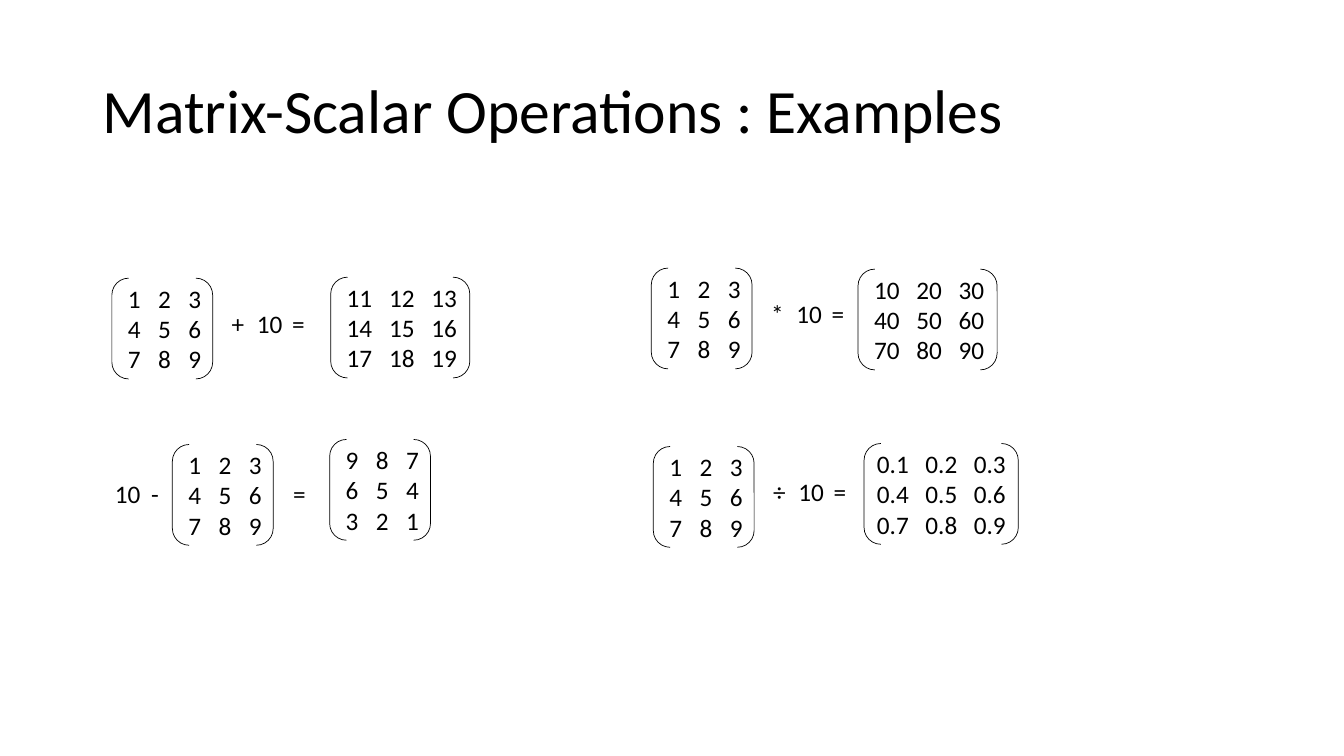
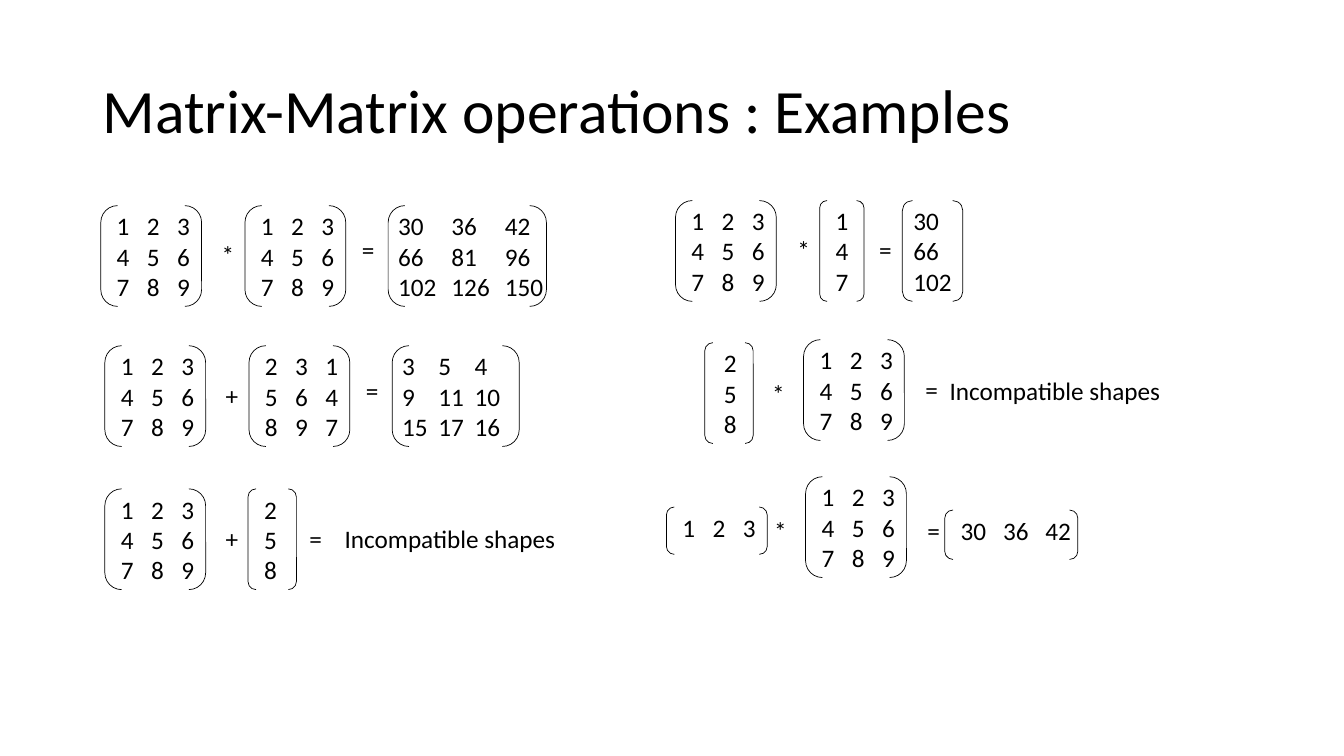
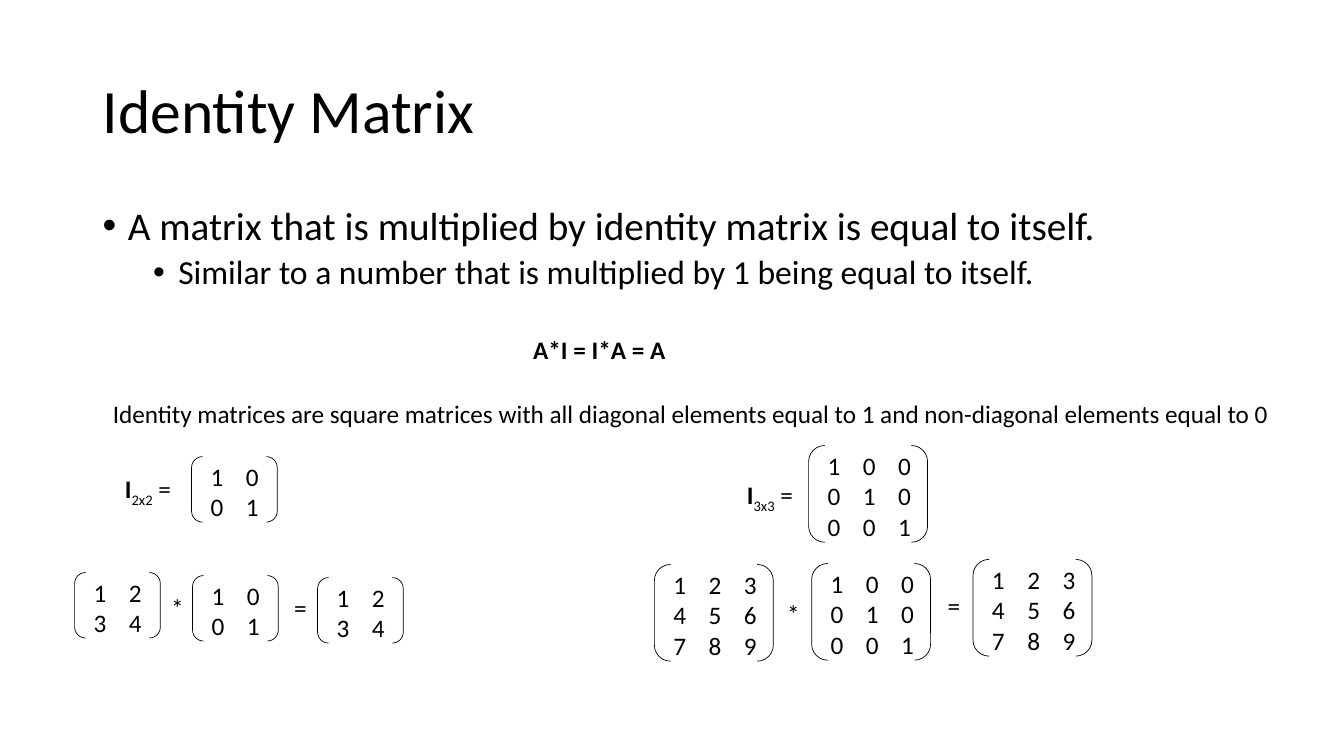
from lxml import etree
from pptx import Presentation
from pptx.dml.color import RGBColor
from pptx.enum import shapes, text
from pptx.oxml import ns
from pptx.util import Inches, Pt

BLACK = RGBColor(0x00, 0x00, 0x00)
WHITE = RGBColor(0xFF, 0xFF, 0xFF)
FONT = "Calibri"

# Matrices: rows separated by "/", entries by a space
COUNT = "1 2 3/4 5 6/7 8 9"
COLUMN = "2/5/8"
SMALL = "1 2/3 4"
IDENTITY_2 = "1 0/0 1"
IDENTITY_3 = "1 0 0/0 1 0/0 0 1"
SCALAR_TABS = (0.25, 0.6)


class Deck:
    def __init__(self):
        self.prs = Presentation()
        self.prs.slide_width = Inches(13.33)
        self.prs.slide_height = Inches(7.5)
        self.slide = None

    def add_slide(self, title):
        self.slide = self.prs.slides.add_slide(self.prs.slide_layouts[6])
        self.slide.background.fill.solid()
        self.slide.background.fill.fore_color.rgb = WHITE
        tf = self.text(0.92, 0.4, 11.5, [title], size=44, height=1.45)
        tf.vertical_anchor = text.MSO_ANCHOR.MIDDLE
        tf.paragraphs[0].line_spacing = 0.9

    def style(self, r, size=18, bold=False):
        r.font.name = FONT
        r.font.size = Pt(size)
        r.font.bold = bold
        r.font.color.rgb = BLACK

    def text(self, left, top, width, lines, size=18, bold=False, tabs=(), height=None):
        height = height or 0.1 + 0.3 * len(lines)
        sp = self.slide.shapes.add_textbox(
            Inches(left), Inches(top), Inches(width), Inches(height))
        tf = sp.text_frame
        tf.word_wrap = True
        tf.text = "\n".join(lines)
        for p in tf.paragraphs:
            if tabs:
                self.tab_stops(p, tabs)
            for r in p.runs:
                self.style(r, size, bold)
        return tf

    def tab_stops(self, p, tabs):
        tab_list = etree.SubElement(p._p.get_or_add_pPr(), ns.qn("a:tabLst"))
        for pos in tabs:
            etree.SubElement(tab_list, ns.qn("a:tab"), pos=str(Inches(pos)), algn="l")

    def spaced(self, left, top, width, symbols, tabs):
        self.text(left, top, width, [symbols.replace(" ", "\t")], tabs=tabs)

    def operator(self, left, top, symbol):
        self.text(left, top, 0.36, [symbol])

    def matrix(self, left, top, entries, width=1, height=1, pitch=0.3, inset=0.06):
        rows = entries.split("/")
        columns = len(rows[0].split())
        tabs = [pitch * i for i in range(1, columns)]
        self.text(left + inset, top, width + 0.2,
                  [row.replace(" ", "\t") for row in rows], tabs=tabs)
        sp = self.slide.shapes.add_shape(
            shapes.MSO_SHAPE.DOUBLE_BRACKET,
            Inches(left), Inches(top), Inches(width), Inches(height))
        sp.shadow.inherit = False
        sp.fill.background()
        sp.line.color.rgb = BLACK
        sp.line.width = Pt(0.5)

    def wide_matrix(self, left, top, entries):
        """Loosely spaced 2x2 or 3x3 matrix."""
        width, height = (0.85, 0.65) if entries.count("/") == 1 else (1.18, 0.96)
        self.matrix(left, top, entries, width, height, pitch=0.35, inset=0.09)

    def identity_label(self, left, top, order):
        p = self.text(left, top, 0.86, ["I"], bold=True).paragraphs[0]
        for part in (order, " ="):
            r = p.add_run()
            r.text = part
            self.style(r)
        p.runs[1]._r.get_or_add_rPr().set("baseline", "-25000")

    def bullets(self, left, top, width, height, items):
        tf = self.text(left, top, width, items, height=height)
        for level, p in enumerate(tf.paragraphs):
            p.level = level
            p.line_spacing = 0.9
            p.space_before = Pt(5 * level)
            pPr = p._p.get_or_add_pPr()
            pPr.set("marL", str(Inches(0.25 + 0.5 * level)))
            pPr.set("indent", str(Inches(-0.25)))
            etree.SubElement(pPr, ns.qn("a:buFont"), typeface="Arial")
            etree.SubElement(pPr, ns.qn("a:buChar"), char="•")
            self.style(p.runs[0], 28 - 4 * level)


def scalar_slide(deck):
    deck.add_slide("Matrix-Scalar Operations : Examples")

    # Addition, multiplication and division
    for left, top, symbol in ((1.11, 2.76, "+"), (6.46, 2.66, "*"), (6.48, 4.43, "÷")):
        deck.matrix(left, top, COUNT)
        deck.spaced(left + 1.09, top + 0.25, 1.08, symbol + " 10 =", SCALAR_TABS)
    deck.matrix(3.28, 2.75, "11 12 13/14 15 16/17 18 19", 1.38, pitch=0.42)
    deck.matrix(8.51, 2.67, "10 20 30/40 50 60/70 80 90", 1.38, pitch=0.42)
    deck.matrix(8.57, 4.4, "0.1 0.2 0.3/0.4 0.5 0.6/0.7 0.8 0.9", 1.53,
                pitch=0.48, inset=0.03)

    # Subtraction
    deck.spaced(1.04, 4.7, 0.72, "10 -", (0.36,))
    deck.matrix(1.71, 4.41, COUNT)
    deck.operator(2.81, 4.7, "=")
    deck.matrix(3.27, 4.36, "9 8 7/6 5 4/3 2 1")


def matrix_slide(deck):
    deck.add_slide("Matrix-Matrix operations : Examples")

    # Left side: square products and sums
    for left, top, symbol in ((1, 2.04, "*"), (1.04, 3.43, "+"), (1.04, 4.85, "+")):
        deck.matrix(left, top, COUNT)
        deck.operator(left + 1.1, top + 0.29, symbol)
    deck.matrix(2.43, 2.04, COUNT)
    deck.operator(3.49, 2.28, "=")
    deck.matrix(3.85, 2.04, "30 36 42/66 81 96/102 126 150", 1.57, pitch=0.53, inset=0)
    deck.matrix(2.47, 3.43, "2 3 1/5 6 4/8 9 7")
    deck.operator(3.53, 3.67, "=")
    deck.matrix(3.89, 3.43, "3 5 4/9 11 10/15 17 16", 1.26, pitch=0.36, inset=0)
    deck.matrix(2.46, 4.85, COLUMN, 0.48)
    deck.operator(2.97, 5.14, "=")

    # Right side: products with a column or a row
    deck.matrix(6.7, 1.99, COUNT)
    deck.operator(7.81, 2.28, "*")
    deck.matrix(8.13, 1.99, "1/4/7", 0.44)
    deck.operator(8.62, 2.28, "=")
    deck.matrix(8.95, 1.99, "30/66/102", 0.6, inset=0.01)

    deck.matrix(6.99, 3.4, COLUMN, 0.48, inset=0.09)
    deck.operator(7.56, 3.7, "*")
    deck.matrix(7.97, 3.37, COUNT)
    deck.operator(9.08, 3.66, "=")

    deck.matrix(6.61, 5.03, "1 2 3", height=0.47)
    deck.operator(7.58, 5.06, "*")
    deck.matrix(7.99, 4.73, COUNT)
    deck.operator(9.1, 5.06, "=")
    deck.matrix(9.37, 5.06, "30 36 42", 1.32, 0.49, pitch=0.42)

    # Results that do not exist
    for left, top in ((3.32, 5.14), (9.32, 3.67)):
        deck.text(left, top, 2.56, ["Incompatible shapes"])


def identity_slide(deck):
    deck.add_slide("Identity Matrix")
    deck.bullets(0.92, 2, 11.5, 1.28, [
        "A matrix that is multiplied by identity matrix is equal to itself.",
        "Similar to a number that is multiplied by 1 being equal to itself."])
    deck.text(5.19, 3.27, 1.67, ["A*I = I*A = A"], bold=True)
    deck.text(1.02, 3.9, 11.78, [
        "Identity matrices are square matrices with all diagonal elements "
        "equal to 1 and non-diagonal elements equal to 0"])

    # Definitions
    deck.identity_label(1.14, 4.65, "2x2")
    deck.identity_label(7.31, 4.71, "3x3")

    # Identity matrices and the products that use them
    for left, top, entries in (
            (1.9, 4.53, IDENTITY_2), (8.02, 4.42, IDENTITY_3),
            (0.74, 5.68, SMALL), (1.91, 5.71, IDENTITY_2), (3.15, 5.73, SMALL),
            (6.49, 5.6, COUNT), (8.05, 5.59, IDENTITY_3), (9.65, 5.55, COUNT)):
        deck.wide_matrix(left, top, entries)
    for left, top, symbol in ((1.6, 5.83, "*"), (2.82, 5.83, "="),
                              (7.71, 5.89, "*"), (9.3, 5.81, "=")):
        deck.operator(left, top, symbol)


def main():
    deck = Deck()
    scalar_slide(deck)
    matrix_slide(deck)
    identity_slide(deck)
    deck.prs.save("out.pptx")


if __name__ == "__main__":
    main()
